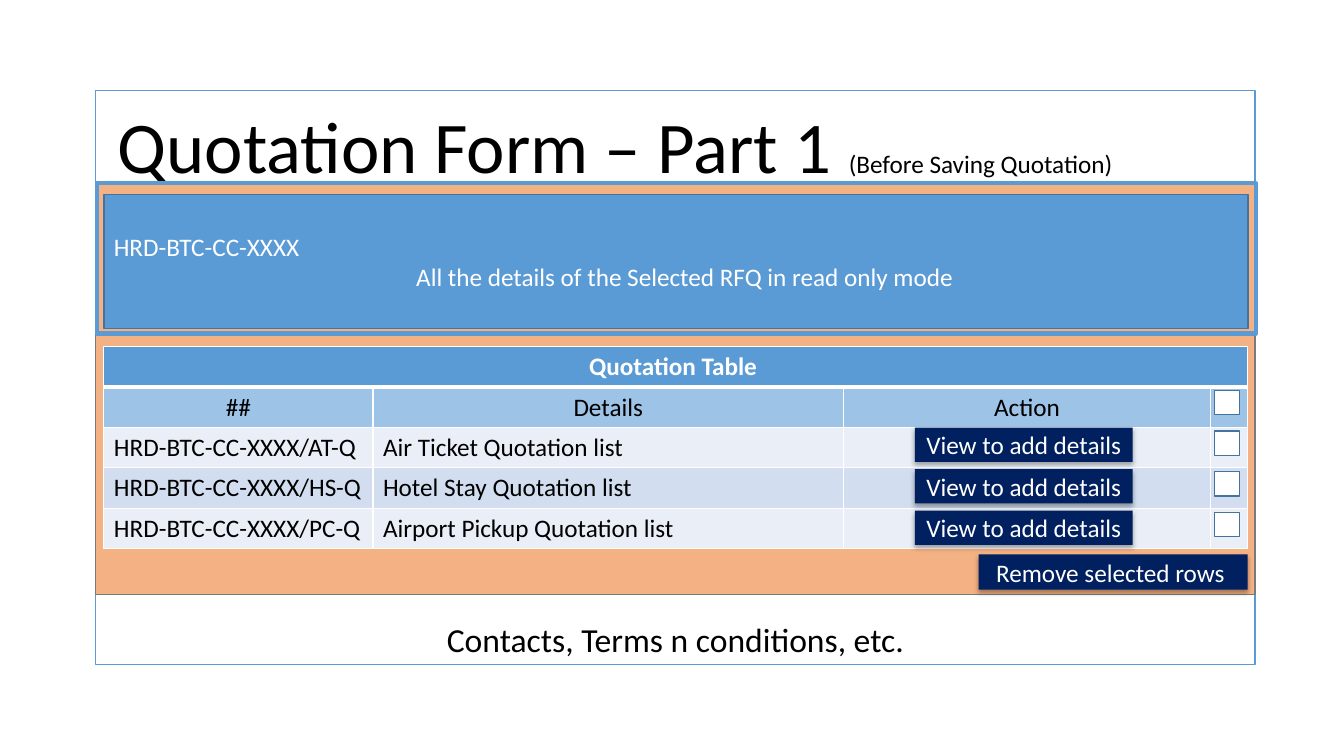
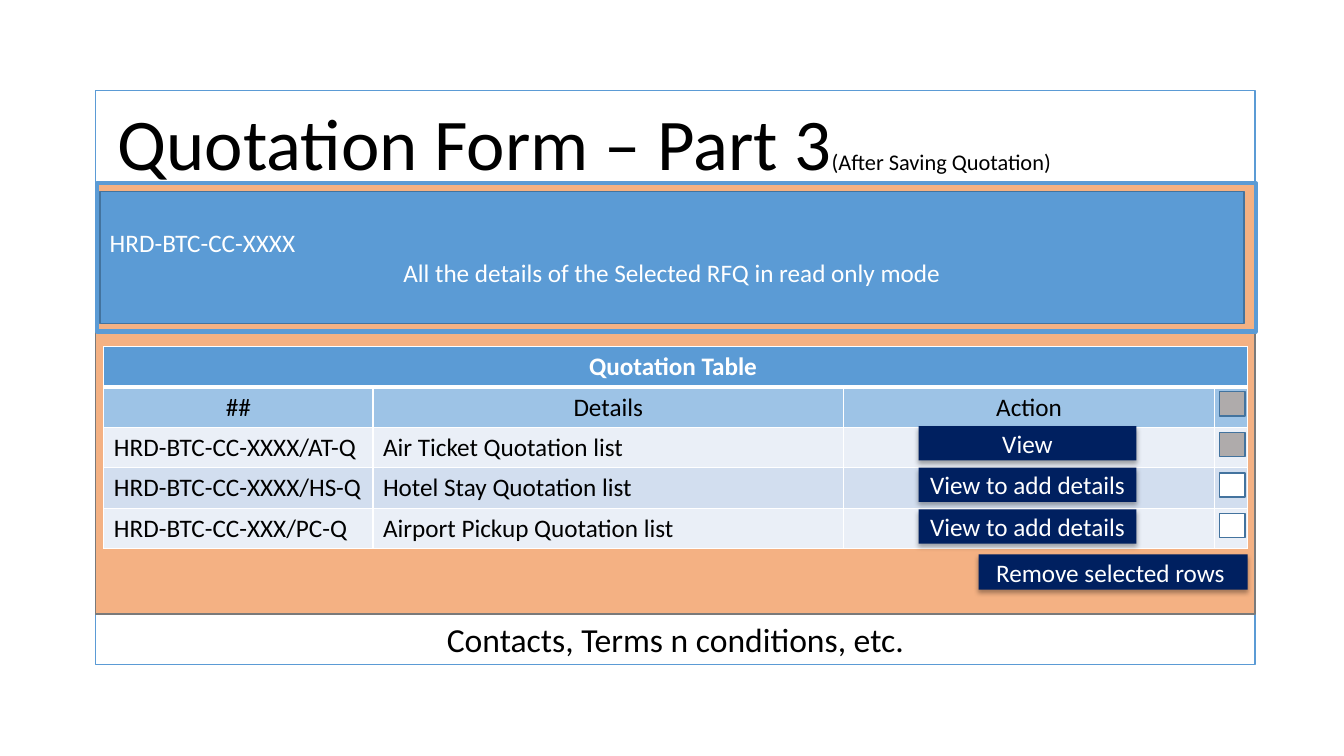
"""Build two quotation form slides, before and after saving."""
from dataclasses import dataclass

from lxml.etree import SubElement
from pptx import Presentation
from pptx.dml.color import RGBColor
from pptx.enum.shapes import MSO_SHAPE
from pptx.enum.text import MSO_ANCHOR, PP_ALIGN
from pptx.oxml.ns import qn
from pptx.util import Pt

WHITE = RGBColor(0xFF, 0xFF, 0xFF)
BLACK = RGBColor(0x00, 0x00, 0x00)
BLUE = RGBColor(0x5B, 0x9B, 0xD5)
EDGE = RGBColor(0x43, 0x73, 0x9E)
NAVY = RGBColor(0x00, 0x20, 0x60)
ORANGE = RGBColor(0xF4, 0xB1, 0x83)
GRAY = RGBColor(0x7A, 0x7A, 0x7A)
DISABLED = RGBColor(0xAF, 0xAB, 0xAB)
HEADING = RGBColor(0x9D, 0xC3, 0xE6)
ROW_FILLS = (RGBColor(0xEA, 0xEF, 0xF7), RGBColor(0xD2, 0xDE, 0xEF))

FONT = "Calibri"
FORM_LEFT, FORM_WIDTH, BODY_TOP = 68.4, 828, 131.8
TABLE_LEFT, TABLE_TOP, TABLE_WIDTH, ROW_HEIGHT = 74.2, 247.7, 817.2, 28.8
ID_WIDTH, DETAILS_WIDTH = 192.2, 336.2
BUTTON_PITCH, CHECKBOX_PITCH = 29.7, 29
HEADINGS = ("##", "Details", "Action")
ADD_DETAILS = "View to add details"


@dataclass
class Form:
    """Hold what differs between the quotation forms."""

    title: tuple
    body_height: float
    panel_box: tuple
    panel_indent: float
    outline_height: float
    action_width: float
    pickup_id: str
    button_origin: tuple
    actions: tuple
    checkbox_origin: tuple
    checkbox_fills: tuple


FORMS = (
    Form(
        title=(("Quotation Form – Part 1", 52), (" ", 54), ("(Before Saving Quotation)", 18)),
        body_height=293,
        panel_box=(74.2, 139, 817.2, 95.8),
        panel_indent=216,
        outline_height=107.3,
        action_width=262,
        pickup_id="HRD-BTC-CC-XXXX/PC-Q",
        button_origin=(653.5, 305.4),
        actions=(ADD_DETAILS,) * 3,
        checkbox_origin=(867.6, 279),
        checkbox_fills=(WHITE,) * 4,
    ),
    Form(
        title=(("Quotation Form – Part 3", 52), ("(After Saving Quotation)", 16)),
        body_height=306.7,
        panel_box=(71.3, 136.8, 817.2, 94.3),
        panel_indent=0,
        outline_height=105.8,
        action_width=265,
        pickup_id="HRD-BTC-CC-XXX/PC-Q",
        button_origin=(656.2, 304.4),
        actions=("View", ADD_DETAILS, ADD_DETAILS),
        checkbox_origin=(871.2, 279.8),
        checkbox_fills=(DISABLED, DISABLED, WHITE, WHITE),
    ),
)


def style_paragraph(paragraph, size, color, align=PP_ALIGN.LEFT, bold=False):
    """Set the alignment and font of a paragraph."""
    paragraph.alignment = align
    font = paragraph.font
    font.name, font.size, font.bold = FONT, Pt(size), bold
    font.color.rgb = color


def add_box(shapes, box, fill=None, line=None, line_width=1):
    """Add a flat rectangle with optional fill and line."""
    rect = shapes.add_shape(MSO_SHAPE.RECTANGLE, *map(Pt, box))
    rect.shadow.inherit = False
    if fill is None:
        rect.fill.background()
    else:
        rect.fill.solid()
        rect.fill.fore_color.rgb = fill
    if line is None:
        rect.line.fill.background()
    else:
        rect.line.color.rgb = line
        rect.line.width = Pt(line_width)
    return rect


def add_label(shapes, box, runs, align=PP_ALIGN.LEFT):
    """Add a one-paragraph text box from (text, size) runs."""
    frame = shapes.add_textbox(*map(Pt, box)).text_frame
    frame.word_wrap = True
    paragraph = frame.paragraphs[0]
    style_paragraph(paragraph, runs[0][1], BLACK, align)
    for text, size in runs:
        run = paragraph.add_run()
        run.text = text
        run.font.size = Pt(size)


def add_button(shapes, box, caption):
    """Add a navy button with a soft shadow below it."""
    button = add_box(shapes, box, NAVY)
    effects = button.element.spPr.find(qn("a:effectLst"))
    shadow = SubElement(effects, qn("a:outerShdw"), blurRad=str(Pt(3.5)),
                        dist=str(Pt(2.2)), dir="5400000", algn="t", rotWithShape="0")
    tint = SubElement(shadow, qn("a:srgbClr"), val=str(BLACK))
    SubElement(tint, qn("a:alpha"), val="32000")
    frame = button.text_frame
    frame.vertical_anchor = MSO_ANCHOR.MIDDLE
    frame.text = caption
    style_paragraph(frame.paragraphs[0], 18, WHITE, PP_ALIGN.CENTER)


def add_form_frame(slide, form):
    """Add the grouped form background, title and footer."""
    shapes = slide.shapes.add_group_shape().shapes
    add_box(shapes, (FORM_LEFT, 64.8, FORM_WIDTH, 409.7), WHITE, BLUE)
    add_box(shapes, (FORM_LEFT, BODY_TOP, FORM_WIDTH, form.body_height), ORANGE, GRAY)
    add_label(shapes, (77, 66.2, 800.6, 72), form.title)
    add_label(shapes, (67.7, 438.5, 829.4, 36),
              (("Contacts, Terms n conditions, etc.", 24),), PP_ALIGN.CENTER)


def add_request_panel(slide, form):
    """Add the read-only request details with their outline."""
    frame = add_box(slide.shapes, form.panel_box, BLUE, EDGE).text_frame
    frame.vertical_anchor = MSO_ANCHOR.MIDDLE
    frame.text = "HRD-BTC-CC-XXXX\nAll the details of the Selected RFQ in read only mode"
    request_id, details = frame.paragraphs
    style_paragraph(request_id, 18, WHITE)
    style_paragraph(details, 18, WHITE, PP_ALIGN.LEFT if form.panel_indent else PP_ALIGN.CENTER)
    details._p.get_or_add_pPr().set("marL", str(Pt(form.panel_indent)))
    add_box(slide.shapes, (69.1, 131, FORM_WIDTH, form.outline_height), line=BLUE, line_width=3)


def set_borders(cell, top, bottom):
    """Give a cell white borders, with its own top and bottom widths."""
    properties = cell._tc.get_or_add_tcPr()
    for side, width in (("L", 1), ("R", 1), ("T", top), ("B", bottom)):
        border = SubElement(properties, qn(f"a:ln{side}"), w=str(Pt(width)))
        fill = SubElement(border, qn("a:solidFill"))
        SubElement(fill, qn("a:srgbClr"), val=str(WHITE))


def add_quotation_table(slide, form):
    """Add the table that lists the quotations."""
    rows = (
        ("Quotation Table ",),
        HEADINGS,
        ("HRD-BTC-CC-XXXX/AT-Q", "Air Ticket Quotation list"),
        ("HRD-BTC-CC-XXXX/HS-Q", "Hotel Stay Quotation list"),
        (form.pickup_id, "Airport Pickup Quotation list"),
    )
    widths = [ID_WIDTH, DETAILS_WIDTH, form.action_width]
    widths.append(TABLE_WIDTH - sum(widths))
    table = slide.shapes.add_table(
        len(rows), len(widths), Pt(TABLE_LEFT), Pt(TABLE_TOP),
        Pt(TABLE_WIDTH), Pt(ROW_HEIGHT * len(rows))).table
    for column, width in zip(table.columns, widths):
        column.width = Pt(width)
    fills = (BLUE, HEADING, ROW_FILLS[0], ROW_FILLS[1], ROW_FILLS[0])
    for r, (texts, fill) in enumerate(zip(rows, fills)):
        for c in range(len(widths)):
            cell = table.cell(r, c)
            set_borders(cell, 3 if r == 1 else 1, 3 if r == 0 else 1)
            cell.fill.solid()
            cell.fill.fore_color.rgb = fill
            if c < len(texts):
                cell.text = texts[c]
            style_paragraph(cell.text_frame.paragraphs[0], 18, BLACK if r else WHITE,
                            PP_ALIGN.CENTER if r < 2 else PP_ALIGN.LEFT, bold=r == 0)
    table.cell(0, 0).merge(table.cell(0, len(widths) - 1))


def add_controls(slide, form):
    """Add the row checkboxes and the buttons."""
    left, top = form.checkbox_origin
    for i, fill in enumerate(form.checkbox_fills):
        add_box(slide.shapes, (left, top + i * CHECKBOX_PITCH, 18, 17.3), fill, EDGE)
    left, top = form.button_origin
    for i, caption in enumerate(form.actions):
        add_button(slide.shapes, (left, top + i * BUTTON_PITCH, 155.5, 24.5), caption)
    add_button(slide.shapes, (699.1, 396, 192.2, 25.2), "Remove selected rows ")


def main():
    """Build and save the presentation."""
    deck = Presentation()
    deck.slide_width, deck.slide_height = Pt(960), Pt(540)
    for form in FORMS:
        slide = deck.slides.add_slide(deck.slide_layouts[6])
        add_form_frame(slide, form)
        add_quotation_table(slide, form)
        add_request_panel(slide, form)
        add_controls(slide, form)
    deck.save("out.pptx")


if __name__ == "__main__":
    main()
